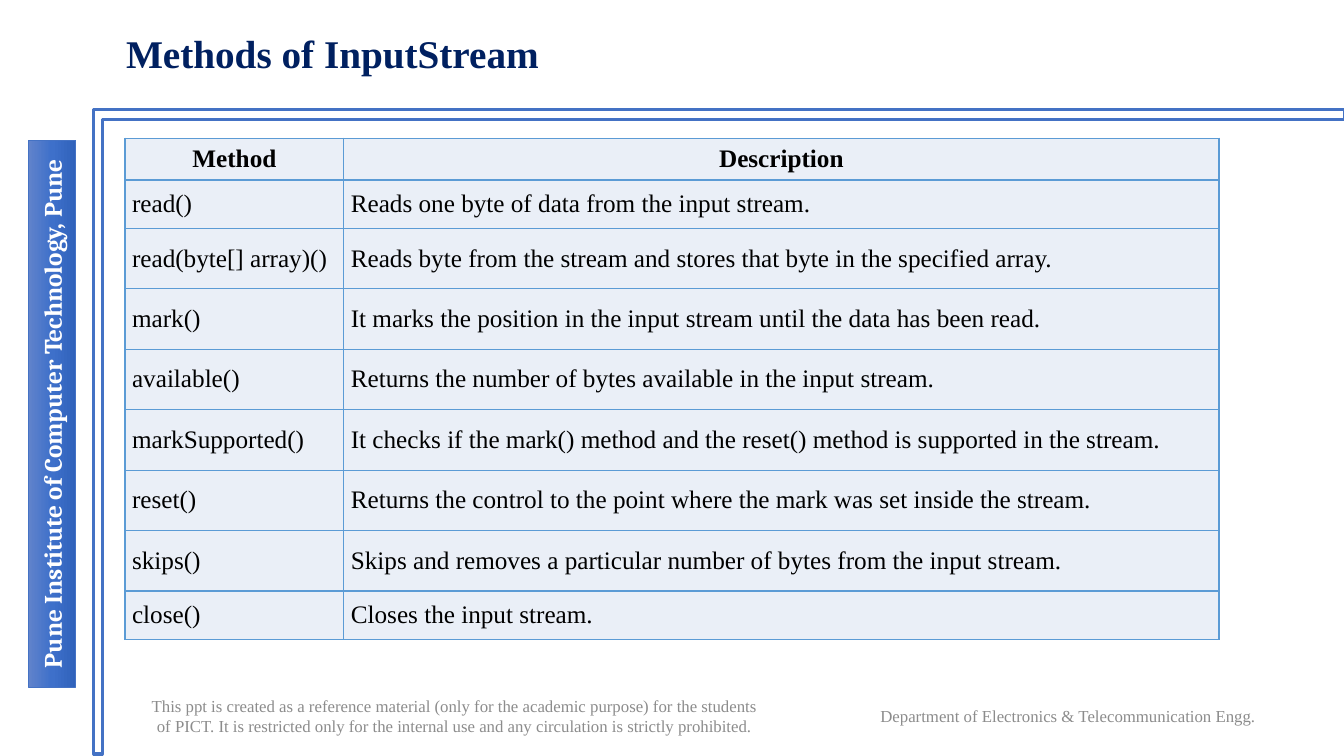
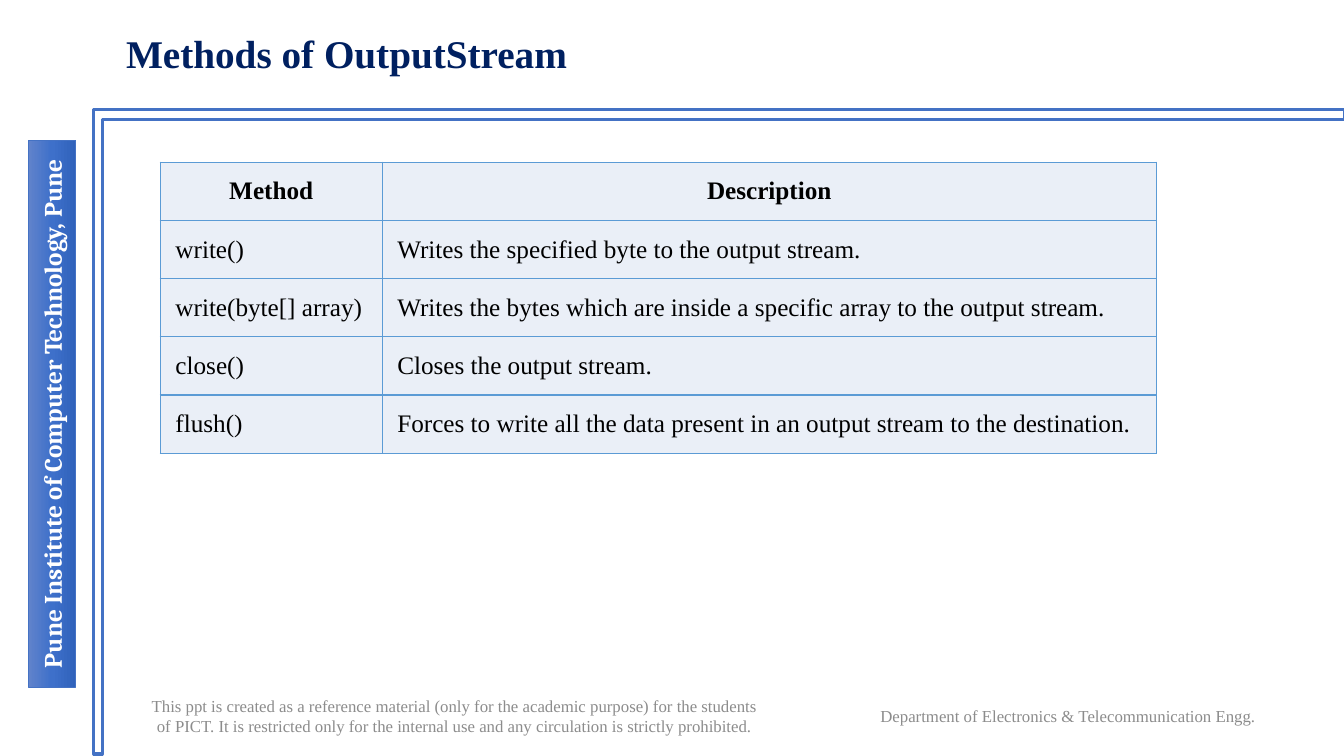
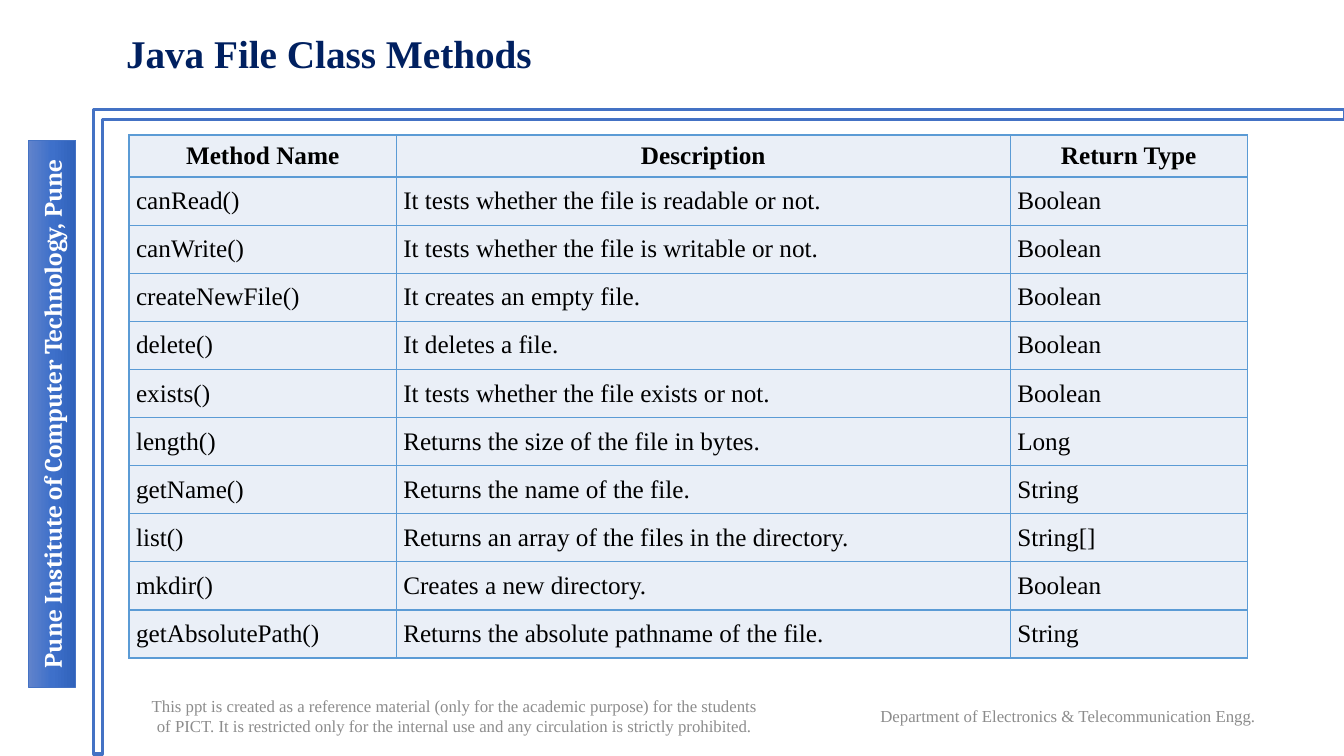
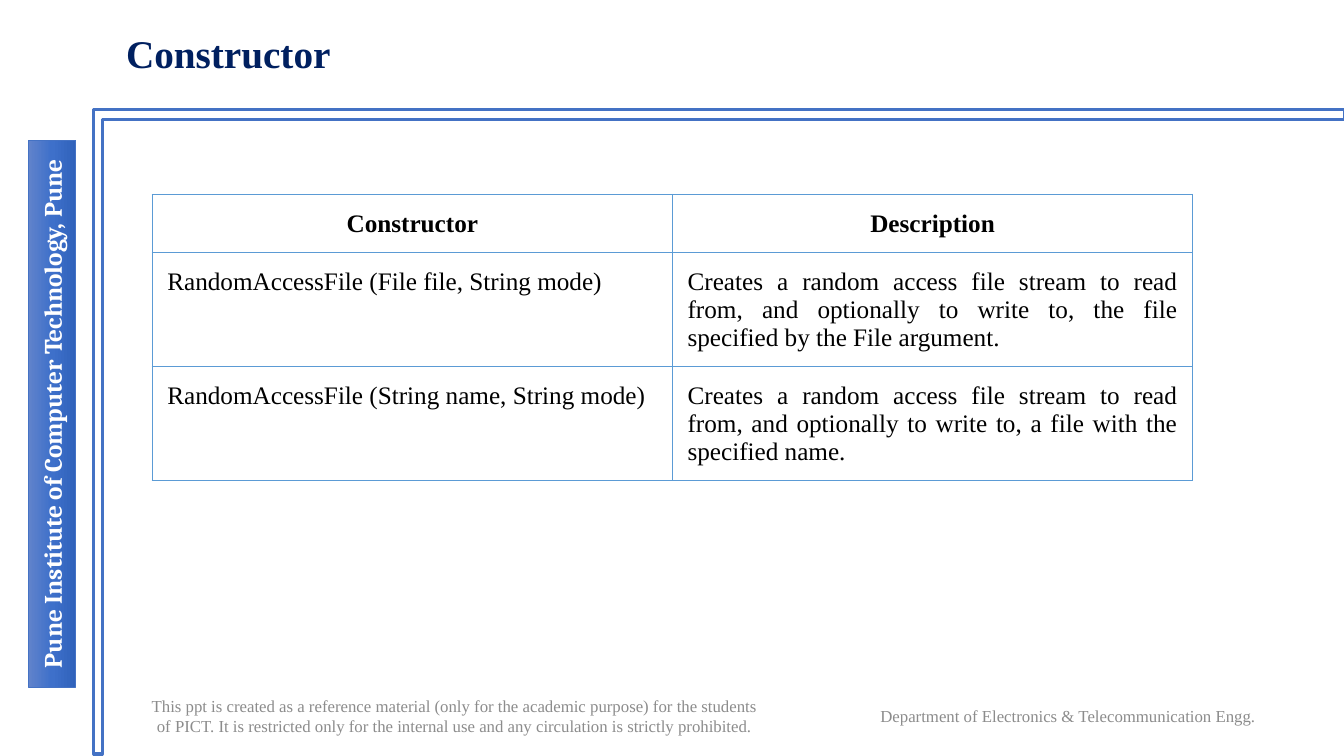
from copy import deepcopy

from pptx import Presentation
from pptx.dml.color import RGBColor
from pptx.enum import shapes, text
from pptx.oxml import parse_xml
from pptx.oxml.ns import nsdecls
from pptx.util import Pt

PX = 9144
BLUE = RGBColor(0x44, 0x72, 0xC4)
NAVY = RGBColor(0x00, 0x20, 0x60)
EDGE = RGBColor(0x5B, 0x9B, 0xD5)
PALE = RGBColor(0xEA, 0xEF, 0xF7)
GREY = RGBColor(0x8C, 0x8C, 0x8C)
BLACK = RGBColor(0, 0, 0)
WHITE = RGBColor(0xFF, 0xFF, 0xFF)
FADE = [
    (0, RGBColor(0x61, 0x83, 0xCB)),
    (0.5, RGBColor(0x3E, 0x70, 0xCA)),
    (1, RGBColor(0x30, 0x62, 0xBB)),
]
SERIF = "Times New Roman"
LEFT, MID, FULL = text.PP_ALIGN.LEFT, text.PP_ALIGN.CENTER, text.PP_ALIGN.JUSTIFY
TOP, HALF = text.MSO_ANCHOR.TOP, text.MSO_ANCHOR.MIDDLE

SCHOOL = "Pune Institute of Computer Technology, Pune"
FOOTERS = [
    ("This ppt is created as a reference material (only for the academic purpose) "
     "for the students of PICT. It is restricted only for the internal use and any "
     "circulation is strictly prohibited.", (133, 682, 636, 57)),
    ("Department of Electronics & Telecommunication Engg. ", (810, 692, 503, 36)),
]

TIGHT = dict(side=7, head=7, pad=10, fill=PALE, align=LEFT, anchor=HALF)
ROOMY = dict(side=15, head=15, pad=15, fill=PALE, align=LEFT, anchor=HALF)
PLAIN = dict(ROOMY, fill=None, align=FULL, anchor=TOP)

SLIDES = [
    dict(title="Methods of InputStream", at=(124, 137), cols=[217, 868],
         tall=[41, 47] + [60] * 6 + [47], look=TIGHT, rows=[
             ("Method", "Description"),
             ("read()", "Reads one byte of data from the input stream."),
             ("read(byte[] array)()", "Reads byte from the stream and stores that byte in the specified array."),
             ("mark()", "It marks the position in the input stream until the data has been read."),
             ("available()", "Returns the number of bytes available in the input stream."),
             ("markSupported()", "It checks if the mark() method and the reset() method is supported in the stream."),
             ("reset()", "Returns the control to the point where the mark was set inside the stream."),
             ("skips()", "Skips and removes a particular number of bytes from the input stream."),
             ("close()", "Closes the input stream."),
         ]),
    dict(title="Methods of OutputStream", at=(159, 161), cols=[220, 768],
         tall=[57] * 5, look=ROOMY, rows=[
             ("Method", "Description"),
             ("write()", "Writes the specified byte to the output stream."),
             ("write(byte[] array)", "Writes the bytes which are inside a specific array to the output stream."),
             ("close()", "Closes the output stream."),
             ("flush()", "Forces to write all the data present in an output stream to the destination."),
         ]),
    dict(title="Java File Class Methods", at=(128, 134), cols=[265, 609, 235],
         tall=[41] + [47] * 10, look=TIGHT, rows=[
             ("Method Name", "Description", "Return Type"),
             ("canRead()", "It tests whether the file is readable or not.", "Boolean"),
             ("canWrite()", "It tests whether the file is writable or not.", "Boolean"),
             ("createNewFile()", "It creates an empty file.", "Boolean"),
             ("delete()", "It deletes a file.", "Boolean"),
             ("exists()", "It tests whether the file exists or not.", "Boolean"),
             ("length()", "Returns the size of the file in bytes.", "Long"),
             ("getName()", "Returns the name of the file.", "String"),
             ("list()", "Returns an array of the files in the directory.", "String[]"),
             ("mkdir()", "Creates a new directory.", "Boolean"),
             ("getAbsolutePath()", "Returns the absolute pathname of the file.", "String"),
         ]),
    dict(title="Constructor", at=(151, 193), cols=[516, 516],
         tall=[57, 113, 113], look=PLAIN, rows=[
             ("Constructor", "Description"),
             ("RandomAccessFile (File file, String mode)",
              "Creates a random access file stream to read from, and optionally to write to, "
              "the file specified by the File argument."),
             ("RandomAccessFile (String name, String mode)",
              "Creates a random access file stream to read from, and optionally to write to, "
              "a file with the specified name."),
         ]),
]


def emu(*px):
    return [n * PX for n in px]


def write(frame, words, size, color, align, bold=False, font=SERIF):
    frame.text = words
    para = frame.paragraphs[0]
    para.alignment = align
    para.font.size = Pt(size)
    para.font.name = font
    para.font.bold = bold
    para.font.color.rgb = color
    return para


def block(slide, kind, box, turn, line):
    shape = slide.shapes.add_shape(kind, *emu(*box))
    shape.rotation = turn
    shape.shadow.inherit = False
    shape.line.color.rgb = BLUE
    shape.line.width = Pt(line)
    return shape


def fade(shape):
    shape.fill.gradient()
    shape.fill.gradient_angle = 270
    stops = shape.element.xpath(".//a:gsLst")[0]
    stops.insert(1, deepcopy(stops[0]))
    for stop, (place, color) in zip(shape.fill.gradient_stops, FADE):
        stop.position = place
        stop.color.rgb = color


def dress(layout, slide):
    frame = block(slide, shapes.MSO_SHAPE.HALF_FRAME, (394, -192, 639, 1241), 90, 2.25)
    frame.adjustments[0] = 0.013
    frame.adjustments[1] = 0.015
    frame.element.xpath(".//a:prstGeom")[0].set("prst", "corner")
    frame.fill.solid()
    frame.fill.fore_color.rgb = WHITE

    band = block(slide, shapes.MSO_SHAPE.RECTANGLE, (-220, 387, 543, 47), 270, 0.5)
    fade(band)
    band.text_frame.vertical_anchor = HALF
    write(band.text_frame, SCHOOL, 18, WHITE, MID, True, "Cambria")

    parts = [frame, band]
    for words, box in FOOTERS:
        foot = slide.shapes.add_textbox(*emu(*box))
        foot.text_frame.word_wrap = True
        foot.text_frame.vertical_anchor = HALF
        write(foot.text_frame, words, 12, GREY, MID)
        parts.append(foot)
    for part in parts:
        layout.shapes.element.append(part.element)

    title = layout.placeholders[0]
    title.left, title.top, title.width, title.height = emu(115, 24, 1123, 62)
    title.text_frame.vertical_anchor = HALF


def border(cell):
    props = cell._tc.get_or_add_tcPr()
    for side in "LRTB":
        props.append(parse_xml(
            f'<a:ln{side} {nsdecls("a")} w="{Pt(1)}"><a:solidFill>'
            f'<a:srgbClr val="{EDGE}"/></a:solidFill></a:ln{side}>'))


def grid(slide, at, cols, tall, look, rows):
    size = sum(cols), sum(tall)
    table = slide.shapes.add_table(len(rows), len(cols), *emu(*at, *size)).table
    table.first_row = table.horz_banding = False
    for col, wide in zip(table.columns, cols):
        col.width = wide * PX
    for y, row in enumerate(rows):
        table.rows[y].height = tall[y] * PX
        head = y == 0
        for x, words in enumerate(row):
            cell = table.cell(y, x)
            border(cell)
            if look["fill"] is None:
                cell.fill.background()
            else:
                cell.fill.solid()
                cell.fill.fore_color.rgb = look["fill"]
            cell.vertical_anchor = look["anchor"]
            cell.margin_left = cell.margin_right = look["side"] * PX
            cell.margin_top = cell.margin_bottom = look["head" if head else "pad"] * PX
            write(cell.text_frame, words, 18, BLACK, MID if head else look["align"], head)


def main():
    deck = Presentation()
    deck.slide_width, deck.slide_height = emu(1333, 750)
    layout = deck.slide_layouts[5]
    for n, page in enumerate(SLIDES):
        slide = deck.slides.add_slide(layout)
        if n == 0:
            dress(layout, slide)
        para = write(slide.shapes.title.text_frame, page["title"], 28, NAVY, LEFT, True)
        para.line_spacing = 0.9
        grid(slide, page["at"], page["cols"], page["tall"], page["look"], page["rows"])
    deck.save("out.pptx")


if __name__ == "__main__":
    main()
